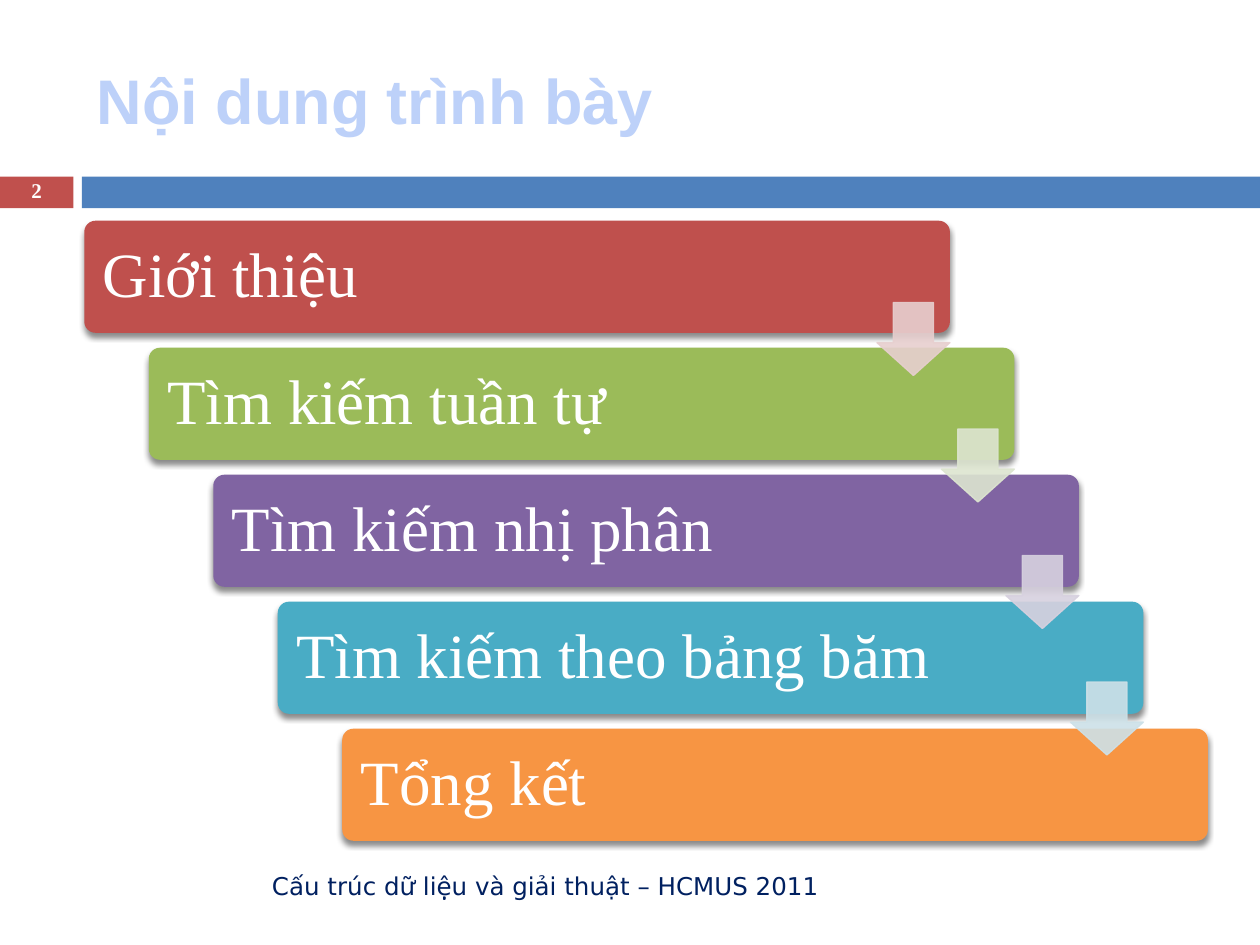
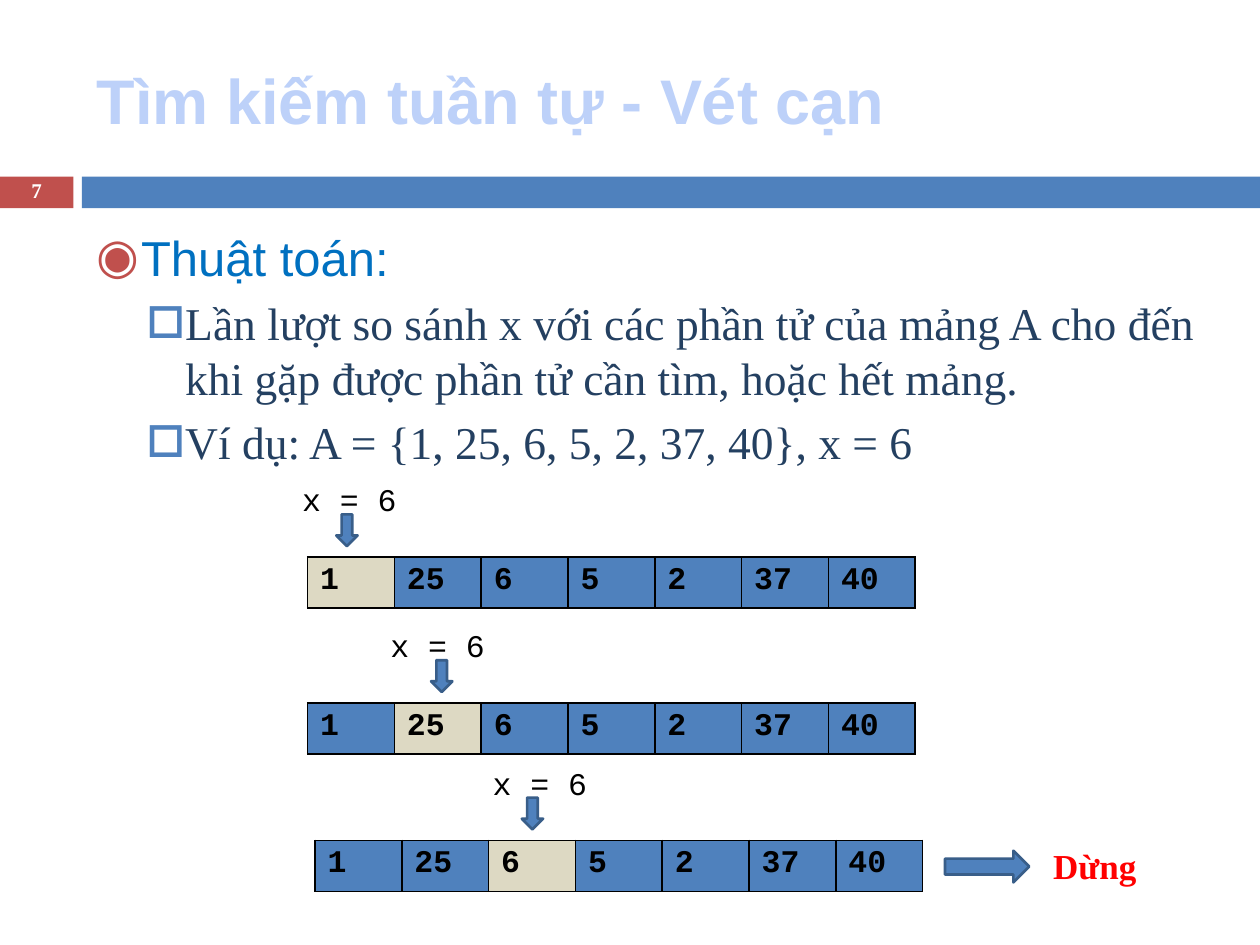
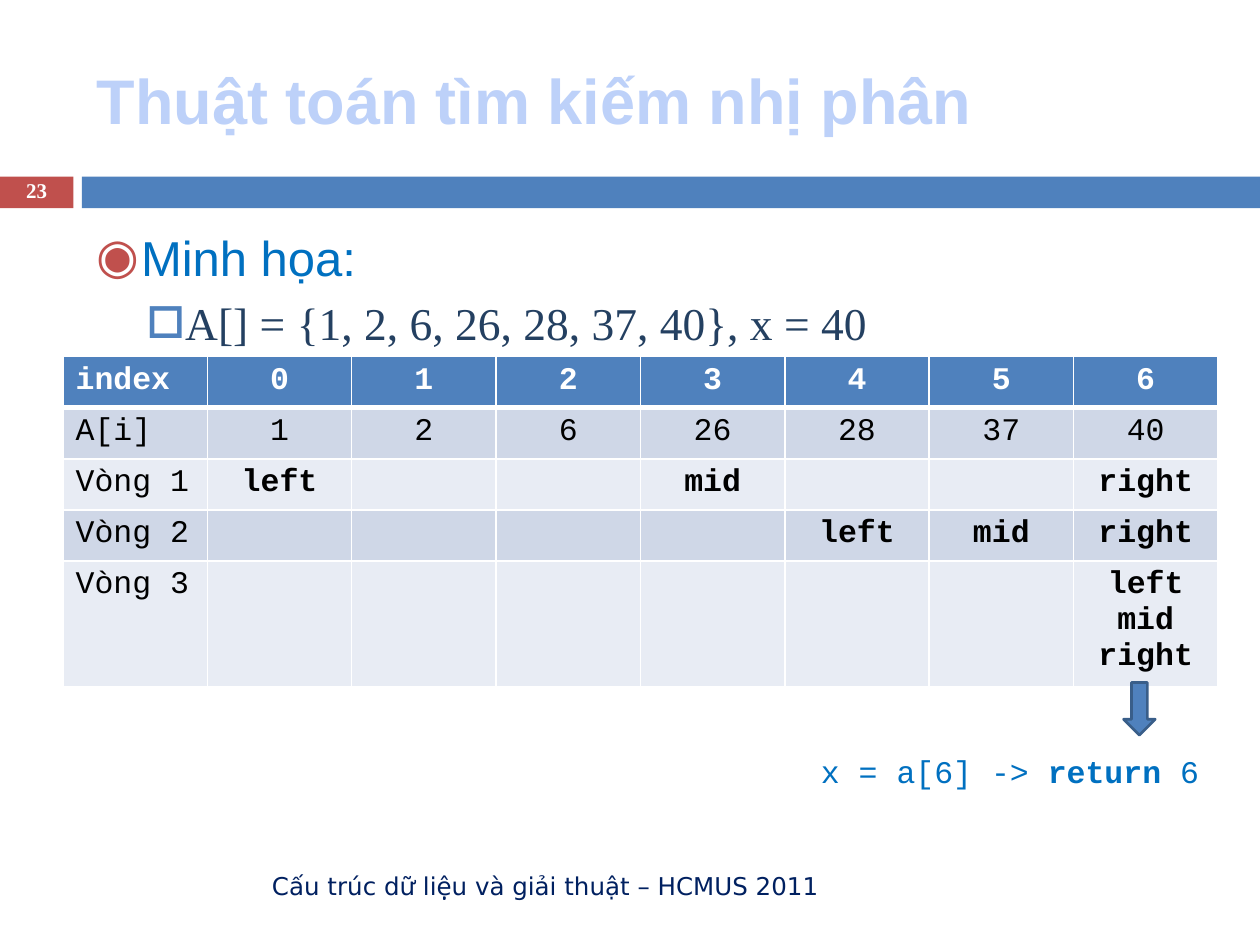
"""Build three lecture slides on searching algorithms."""
from lxml import etree
from pptx import Presentation
from pptx.dml.color import RGBColor
from pptx.enum import shapes, text
from pptx.oxml import ns
from pptx.util import Cm, Pt

RED = RGBColor(0xC0, 0x50, 0x4D)
BLUE = RGBColor(0x4F, 0x81, 0xBD)
DARK_BLUE = RGBColor(0x39, 0x5E, 0x89)
TITLE_BLUE = RGBColor(0xBD, 0xD1, 0xF9)
HEADING_BLUE = RGBColor(0x00, 0x70, 0xC0)
BODY_BLUE = RGBColor(0x24, 0x40, 0x61)
NAVY = RGBColor(0x00, 0x20, 0x60)
WHITE = RGBColor(0xFF, 0xFF, 0xFF)
BLACK = RGBColor(0x00, 0x00, 0x00)
BRIGHT_RED = RGBColor(0xFF, 0x00, 0x00)
BEIGE = RGBColor(0xDD, 0xD9, 0xC3)
ROW_DARK = RGBColor(0xCF, 0xD7, 0xE7)
ROW_LIGHT = RGBColor(0xE8, 0xEC, 0xF4)

SANS, SERIF, MONO = "Arial", "Times New Roman", "Courier New"
FOOTER = "Cấu trúc dữ liệu và giải thuật – HCMUS 2011"
TITLE_ONLY, TITLE_AND_BODY = 5, 1

TOPICS = [
    ("Giới thiệu", RGBColor(0xBF, 0x50, 0x4D), RGBColor(0xE7, 0xCF, 0xCF)),
    ("Tìm kiếm tuần tự", RGBColor(0x9B, 0xBB, 0x59), RGBColor(0xDD, 0xE5, 0xD0)),
    ("Tìm kiếm nhị phân", RGBColor(0x80, 0x64, 0xA2), RGBColor(0xD7, 0xD1, 0xDF)),
    ("Tìm kiếm theo bảng băm", RGBColor(0x49, 0xAC, 0xC5), RGBColor(0xCD, 0xE1, 0xE8)),
    ("Tổng kết", RGBColor(0xF7, 0x95, 0x43), None),
]
ARRAY = ["1", "25", "6", "5", "2", "37", "40"]
SEARCH_STEPS = [
    (6.2, 11.23, 5.84, 6.78),
    (6.2, 14.17, 7.62, 8.69),
    (6.35, 16.94, 9.68, 10.52),
]
BINARY_SEARCH = [
    ["index", "0", "1", "2", "3", "4", "5", "6"],
    ["A[i]", "1", "2", "6", "26", "28", "37", "40"],
    ["Vòng 1", "left", "", "", "mid", "", "", "right"],
    ["Vòng 2", "", "", "", "", "left", "mid", "right"],
    ["Vòng 3", "", "", "", "", "", "", "left\nmid\nright"],
]


def add_element(parent, tag, **attributes):
    """Append a DrawingML element and return it."""
    element = etree.SubElement(parent, ns.qn(tag))
    for name, value in attributes.items():
        element.set(name, str(value))
    return element


def set_font(paragraph, name, size, color, bold=False):
    """Format a whole paragraph."""
    font = paragraph.font
    font.name, font.size, font.bold = name, Pt(size), bold
    font.color.rgb = color


def place(shape, left, top, width, height):
    """Move and size a shape, in centimetres."""
    shape.left, shape.top = Cm(left), Cm(top)
    shape.width, shape.height = Cm(width), Cm(height)


def add_shape(slide, kind, box, fill, line=None, line_width=1.5):
    """Add a flat preset shape."""
    shape = slide.shapes.add_shape(kind, *map(Cm, box))
    shape.shadow.inherit = False
    shape.fill.solid()
    shape.fill.fore_color.rgb = fill
    if line is None:
        shape.line.fill.background()
    else:
        shape.line.color.rgb = line
        shape.line.width = Pt(line_width)
    return shape


def add_label(slide, content, box, name, size, color, bold=False,
              align=text.PP_ALIGN.LEFT, anchor=text.MSO_ANCHOR.TOP):
    """Add a one-line text box and return its paragraph."""
    frame = slide.shapes.add_textbox(*map(Cm, box)).text_frame
    frame.word_wrap = True
    frame.vertical_anchor = anchor
    paragraph = frame.paragraphs[0]
    paragraph.text = content
    paragraph.alignment = align
    set_font(paragraph, name, size, color, bold)
    return paragraph


def add_slide(presentation, layout, title, number, footer=True):
    """Add a slide with its title, bands, number and footer."""
    slide = presentation.slides.add_slide(presentation.slide_layouts[layout])
    rectangle = shapes.MSO_SHAPE.RECTANGLE
    add_shape(slide, rectangle, (0, 3.56, 1.48, 0.64), RED)
    add_shape(slide, rectangle, (1.65, 3.56, 23.75, 0.64), BLUE)
    heading = slide.shapes.title
    place(heading, 1.7, 0.64, 22.66, 2.74)
    heading.text_frame.text = title
    heading.text_frame.vertical_anchor = text.MSO_ANCHOR.MIDDLE
    heading.text_frame.auto_size = text.MSO_AUTO_SIZE.NONE
    paragraph = heading.text_frame.paragraphs[0]
    paragraph.alignment = text.PP_ALIGN.LEFT
    set_font(paragraph, SANS, 36, TITLE_BLUE, True)
    label = add_label(slide, number, (0, 3.53, 1.48, 0.69), SERIF, 12, WHITE, True,
                      text.PP_ALIGN.CENTER, text.MSO_ANCHOR.MIDDLE)
    label.line_spacing = 0.8
    if footer:
        add_label(slide, FOOTER, (1.7, 17.35, 15.06, 1.02), "DejaVu Sans", 14, NAVY,
                  align=text.PP_ALIGN.RIGHT, anchor=text.MSO_ANCHOR.MIDDLE)
    return slide


def set_bullet(paragraph, character, color, margin, hanging):
    """Give a paragraph a coloured bullet and a hanging indent."""
    properties = paragraph._p.get_or_add_pPr()
    properties.set("marL", str(Cm(margin)))
    properties.set("indent", str(-Cm(hanging)))
    add_element(add_element(properties, "a:buClr"), "a:srgbClr", val=color)
    add_element(properties, "a:buChar", char=character)


def fill_body(slide, heading, items):
    """Write a heading and its sub-items in the body placeholder."""
    body = slide.placeholders[1]
    place(body, 1.7, 4.45, 22.66, 12.5)
    frame = body.text_frame
    frame.auto_size = text.MSO_AUTO_SIZE.NONE
    frame.text = "\n".join([heading, *items])
    first, *others = frame.paragraphs
    set_bullet(first, "◉", RED, 0.89, 0.89)
    first.space_before = Pt(0)
    set_font(first, SANS, 28, HEADING_BLUE)
    for paragraph in others:
        paragraph.level = 1
        set_bullet(paragraph, "🞑", BLUE, 1.78, 0.76)
        paragraph.space_before = Pt(5.5)
        set_font(paragraph, SERIF, 26, BODY_BLUE)


def add_topic(slide, index, topic, color):
    """Add one step of the staircase of topics."""
    box = (1.7 + 1.3 * index, 4.45 + 2.56 * index, 17.45, 2.26)
    shape = add_shape(slide, shapes.MSO_SHAPE.ROUNDED_RECTANGLE, box, color)
    shape.adjustments[0] = 0.1
    effects = shape._element.spPr.find(ns.qn("a:effectLst"))
    shadow = add_element(effects, "a:outerShdw", blurRad=Pt(3), dist=Pt(2.4),
                         dir=5400000, rotWithShape=0)
    shade = add_element(shadow, "a:srgbClr", val=BLACK)
    add_element(shade, "a:alpha", val=45000)
    frame = shape.text_frame
    frame.vertical_anchor = text.MSO_ANCHOR.MIDDLE
    frame.margin_left = Cm(0.31)
    paragraph = frame.paragraphs[0]
    paragraph.text = topic
    paragraph.alignment = text.PP_ALIGN.LEFT
    paragraph.line_spacing = 0.9
    set_font(paragraph, SERIF, 36, WHITE)


def add_topic_arrow(slide, index, color):
    """Add the translucent arrow that leads to the next topic."""
    box = (17.68 + 1.3 * index, 6.1 + 2.55 * index, 1.47, 1.47)
    arrow = add_shape(slide, shapes.MSO_SHAPE.DOWN_ARROW, box, color, color, 0.79)
    arrow.adjustments[0], arrow.adjustments[1] = 0.55, 0.45
    for shade in arrow._element.spPr.iter(ns.qn("a:srgbClr")):
        add_element(shade, "a:alpha", val=90000)


def format_cell(cell, content, fill, color, bold, border, bottom=1,
                align=text.PP_ALIGN.LEFT):
    """Write one table cell with its borders and fill."""
    properties = cell._tc.get_or_add_tcPr()
    for side, width in zip("LRTB", (1, 1, 1, bottom)):
        line = add_element(properties, f"a:ln{side}", w=Pt(width))
        add_element(add_element(line, "a:solidFill"), "a:srgbClr", val=border)
    cell.fill.solid()
    cell.fill.fore_color.rgb = fill
    cell.text = content
    for paragraph in cell.text_frame.paragraphs:
        paragraph.alignment = align
        set_font(paragraph, MONO, 18, color, bold)


def add_table(slide, rows, columns, left, top, column_width):
    """Add an unbanded table with equal columns."""
    row_height = 1.03
    table = slide.shapes.add_table(rows, columns, Cm(left), Cm(top),
                                   Cm(column_width * columns),
                                   Cm(row_height * rows)).table
    table.horz_banding = False
    for column in table.columns:
        column.width = Cm(column_width)
    for row in table.rows:
        row.height = Cm(row_height)
    return table


def add_search_step(slide, current, left, top, label_left, arrow_left):
    """Show the array with the element now compared to x."""
    table = add_table(slide, 1, len(ARRAY), left, top, 1.75)
    table.first_row = False
    for index, value in enumerate(ARRAY):
        fill = BEIGE if index == current else BLUE
        format_cell(table.cell(0, index), value, fill, BLACK, True, BLACK)
    add_label(slide, "x = 6", (label_left, top - 1.67, 2.74, 1.02), MONO, 18, BLACK)
    add_shape(slide, shapes.MSO_SHAPE.DOWN_ARROW,
              (arrow_left, top - 0.86, 0.43, 0.64), BLUE, DARK_BLUE)


def add_binary_search_table(slide):
    """Trace left, mid and right through each loop."""
    table = add_table(slide, len(BINARY_SEARCH), len(BINARY_SEARCH[0]), 1.27, 7.19, 2.91)
    for row, values in enumerate(BINARY_SEARCH):
        header = row == 0
        fill = BLUE if header else ROW_DARK if row % 2 else ROW_LIGHT
        for column, value in enumerate(values):
            format_cell(table.cell(row, column), value, fill,
                        WHITE if header else BLACK,
                        header or (row > 1 and column > 0), WHITE,
                        3 if header else 1,
                        text.PP_ALIGN.CENTER if column else text.PP_ALIGN.LEFT)


def build_outline(presentation):
    """Build the outline slide."""
    slide = add_slide(presentation, TITLE_ONLY, "Nội dung trình bày", "2")
    for index, (topic, color, _) in enumerate(TOPICS):
        add_topic(slide, index, topic, color)
    for index, (_, _, arrow_color) in enumerate(TOPICS[:-1]):
        add_topic_arrow(slide, index, arrow_color)


def build_sequential_search(presentation):
    """Build the sequential search slide."""
    slide = add_slide(presentation, TITLE_AND_BODY, "Tìm kiếm tuần tự - Vét cạn", "7",
                      footer=False)
    fill_body(slide, "Thuật toán:", [
        "Lần lượt so sánh x với các phần tử của mảng A cho đến khi gặp được "
        "phần tử cần tìm, hoặc hết mảng.",
        "Ví dụ: A = {1, 25, 6, 5, 2, 37, 40}, x = 6",
    ])
    for current, step in enumerate(SEARCH_STEPS):
        add_search_step(slide, current, *step)
    add_shape(slide, shapes.MSO_SHAPE.RIGHT_ARROW, (19.05, 17.15, 1.7, 0.64),
              BLUE, DARK_BLUE)
    add_label(slide, "Dừng", (20.98, 16.89, 2.74, 1.12), SERIF, 20, BRIGHT_RED, True)


def build_binary_search(presentation):
    """Build the binary search slide."""
    slide = add_slide(presentation, TITLE_AND_BODY, "Thuật toán tìm kiếm nhị phân", "23")
    fill_body(slide, "Minh họa:", ["A[] = {1, 2, 6, 26, 28, 37, 40}, x = 40"])
    add_binary_search_table(slide)
    add_shape(slide, shapes.MSO_SHAPE.DOWN_ARROW, (22.65, 13.76, 0.64, 1.06),
              BLUE, DARK_BLUE)
    result = add_label(slide, "x = a[6] -> ", (16.3, 15.03, 8.46, 1.02),
                       MONO, 18, HEADING_BLUE)
    keyword = result.add_run()
    keyword.text = "return"
    keyword.font.bold = True
    result.add_run().text = " 6"


def main():
    """Build and save the presentation."""
    presentation = Presentation()
    presentation.slide_width, presentation.slide_height = Cm(25.4), Cm(19.05)
    build_outline(presentation)
    build_sequential_search(presentation)
    build_binary_search(presentation)
    presentation.save("out.pptx")


if __name__ == "__main__":
    main()
